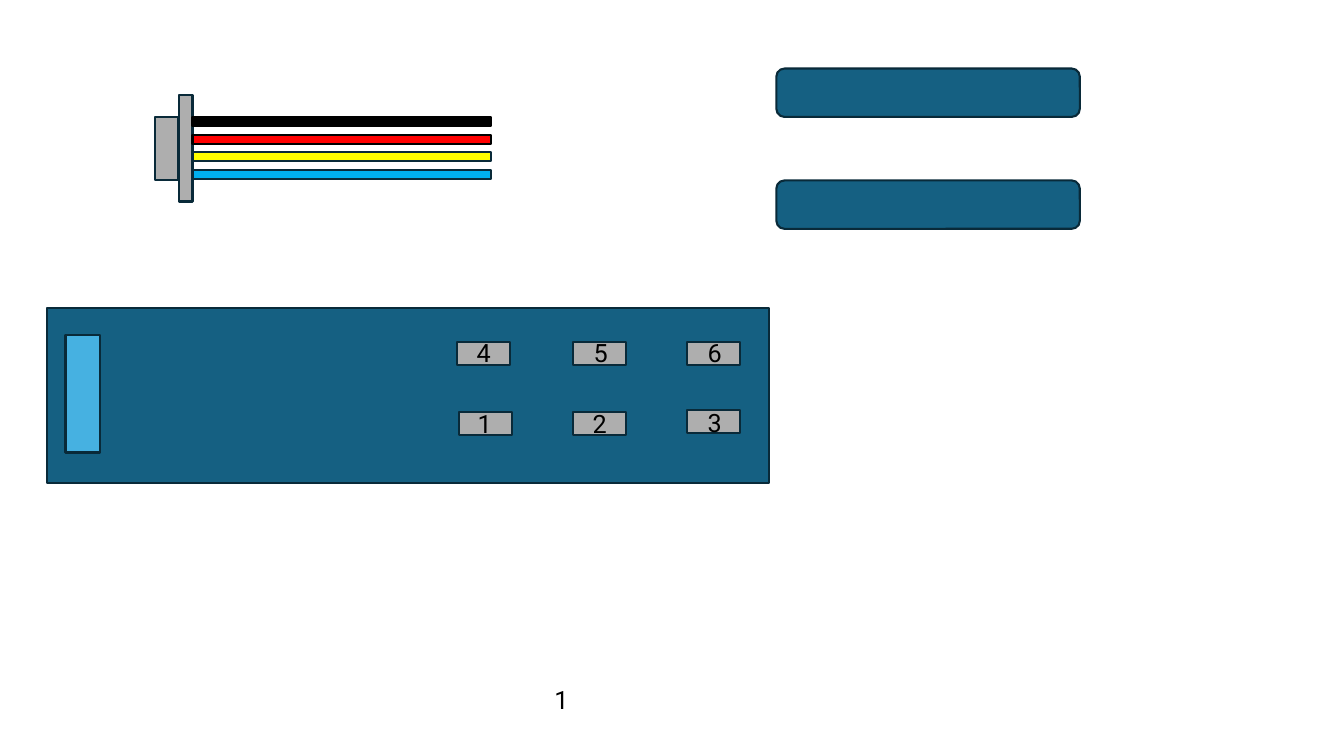
"""Draw a connector with four wires, two bars and a control panel with six numbered keys."""
import pptx
import pptx.dml.color
import pptx.enum.shapes
import pptx.enum.text
import pptx.util

Inches = pptx.util.Inches
Pt = pptx.util.Pt
SHAPE = pptx.enum.shapes.MSO_SHAPE

BLUE, SKY, GREY, NAVY, BLACK = "156082", "46B1E1", "AEAEAE", "092A39", "000000"

KEYS = [
    ("1", 4.55, 4.09, 4.64, 4.0),
    ("2", 5.68, 4.09, 5.78, 4.0),
    ("3", 6.81, 4.07, 6.92, 3.99),
    ("4", 4.53, 3.39, 4.63, 3.3),
    ("5", 5.68, 3.39, 5.79, 3.3),
    ("6", 6.81, 3.39, 6.92, 3.3),
]
WIRES = [(BLACK, BLACK), ("FF0000", BLACK), ("FFFF00", NAVY), ("00B0F0", NAVY)]


def color(value):
    return pptx.dml.color.RGBColor.from_string(value)


def add_block(s, left, top, width, height, fill, line=NAVY, kind=SHAPE.RECTANGLE):
    sp = s.shapes.add_shape(kind, Inches(left), Inches(top), Inches(width), Inches(height))
    sp.shadow.inherit = False
    sp.fill.solid()
    sp.fill.fore_color.rgb = color(fill)
    sp.line.color.rgb = color(line)
    sp.line.width = Pt(1.5)


def add_label(s, text, left, top):
    sp = s.shapes.add_textbox(Inches(left), Inches(top), Inches(0.34), Inches(0.4))
    tf = sp.text_frame
    tf.word_wrap = False
    tf.auto_size = pptx.enum.text.MSO_AUTO_SIZE.SHAPE_TO_FIT_TEXT
    p = tf.paragraphs[0]
    p.text = text
    p.font.size = Pt(18)
    p.font.name = "Roboto"
    p.font.color.rgb = color(BLACK)


def add_panel(s):
    add_block(s, 0.47, 3.06, 7.16, 1.73, BLUE)
    add_block(s, 0.65, 3.32, 0.34, 1.17, SKY)
    for text, left, top, label_left, label_top in KEYS:
        add_block(s, left, top, 0.53, 0.23, GREY)
        add_label(s, text, label_left, label_top)


def add_plug(s):
    add_block(s, 1.54, 1.16, 0.23, 0.63, GREY)
    add_block(s, 1.78, 0.94, 0.13, 1.06, GREY)
    for i, (fill, line) in enumerate(WIRES):
        add_block(s, 1.91, 1.16 + i * 0.175, 2.96, 0.09, fill, line)


def main():
    prs = pptx.Presentation()
    prs.slide_width = Inches(13.33)
    prs.slide_height = Inches(7.5)
    s = prs.slides.add_slide(prs.slide_layouts[6])
    for top in (0.68, 1.79):
        add_block(s, 7.7, top, 3.01, 0.48, BLUE, kind=SHAPE.ROUNDED_RECTANGLE)
    add_panel(s)
    add_label(s, "1", 5.4, 6.74)
    add_plug(s)
    prs.save("out.pptx")


if __name__ == "__main__":
    main()
